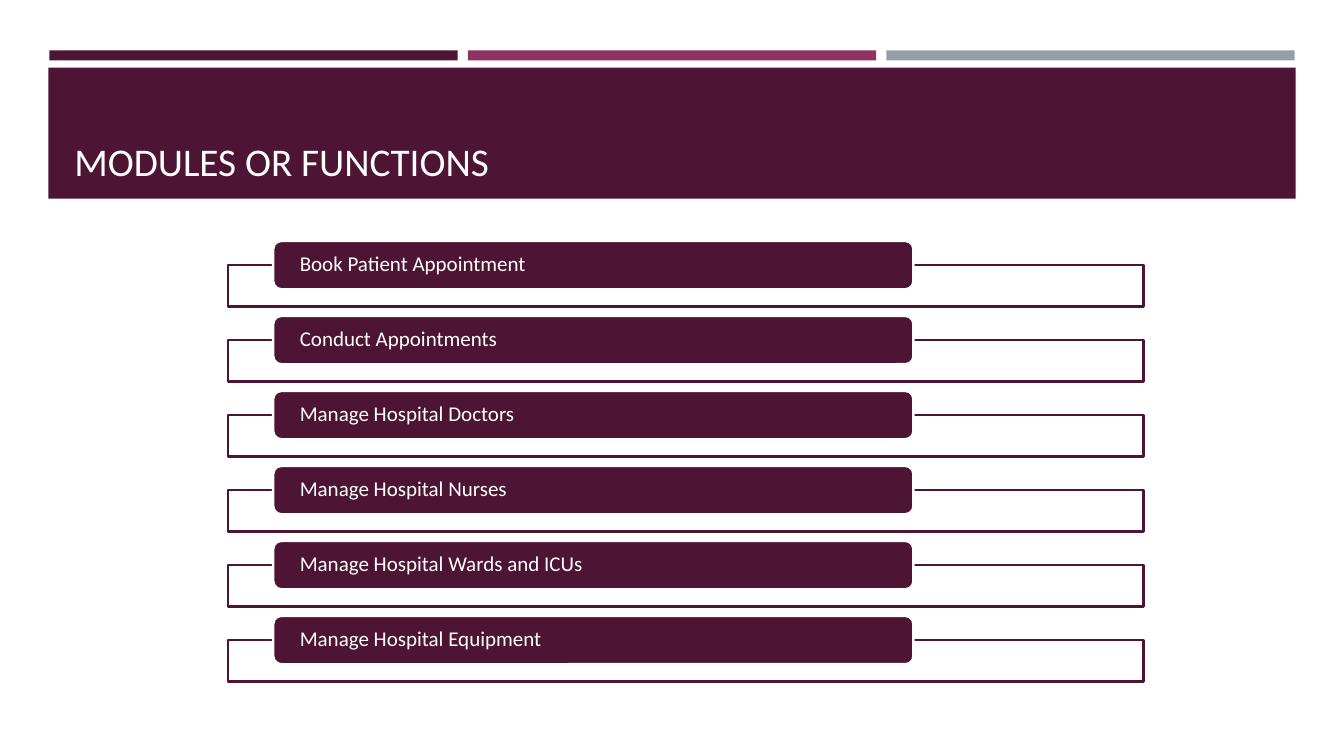
from pptx import Presentation
from pptx.dml.color import RGBColor
from pptx.enum.shapes import MSO_SHAPE
from pptx.enum.text import MSO_ANCHOR, PP_ALIGN
from pptx.util import Inches, Pt

PLUM = RGBColor(0x4D, 0x14, 0x34)
ROSE = RGBColor(0x90, 0x31, 0x63)
GRAY = RGBColor(0x96, 0x9F, 0xA7)
WHITE = RGBColor(0xFF, 0xFF, 0xFF)

deck = Presentation()
deck.slide_width = Inches(13.33)
deck.slide_height = Inches(7.5)
slide = deck.slides.add_slide(deck.slide_layouts[6])


def add_box(kind, left, top, width, height, fill, line=None):
    box = slide.shapes.add_shape(
        kind, Inches(left), Inches(top), Inches(width), Inches(height))
    box.shadow.inherit = False
    box.fill.solid()
    box.fill.fore_color.rgb = fill
    if line is None:
        box.line.fill.background()
    else:
        box.line.color.rgb = line
        box.line.width = Pt(1.75)
    return box


def set_text(shape, text, size, anchor):
    frame = shape.text_frame
    frame.word_wrap = True
    frame.vertical_anchor = anchor
    para = frame.paragraphs[0]
    para.text = text
    para.alignment = PP_ALIGN.LEFT
    para.font.size = Pt(size)
    para.font.name = "Calibri"
    para.font.color.rgb = WHITE
    return frame


for col, color in enumerate([PLUM, ROSE, GRAY]):
    add_box(MSO_SHAPE.RECTANGLE, 0.49 + 4.15 * col, 0.5, 4.05, 0.1, color)

add_box(MSO_SHAPE.RECTANGLE, 0.48, 0.67, 12.37, 1.3, PLUM)
title = slide.shapes.add_textbox(
    Inches(0.64), Inches(0.77), Inches(12.06), Inches(1.11))
set_text(title, "MODULES OR FUNCTIONS", 28, MSO_ANCHOR.BOTTOM)

tasks = [
    "Book Patient Appointment",
    "Conduct Appointments",
    "Manage Hospital Doctors",
    "Manage Hospital Nurses",
    "Manage Hospital Wards and ICUs",
    "Manage Hospital Equipment",
]
first, last = 2.39, 6.11
step = (last - first) / (len(tasks) - 1)
for row, task in enumerate(tasks):
    top = first + step * row
    add_box(MSO_SHAPE.RECTANGLE, 2.26, top + 0.24, 9.08, 0.41, WHITE, PLUM)
    label = add_box(
        MSO_SHAPE.ROUNDED_RECTANGLE, 2.71, top, 6.35, 0.48, PLUM, WHITE)
    frame = set_text(label, task, 15, MSO_ANCHOR.MIDDLE)
    frame.margin_left = frame.margin_right = Inches(0.24)
    frame.margin_top = frame.margin_bottom = 0
    frame.paragraphs[0].line_spacing = 0.9

deck.save("out.pptx")
